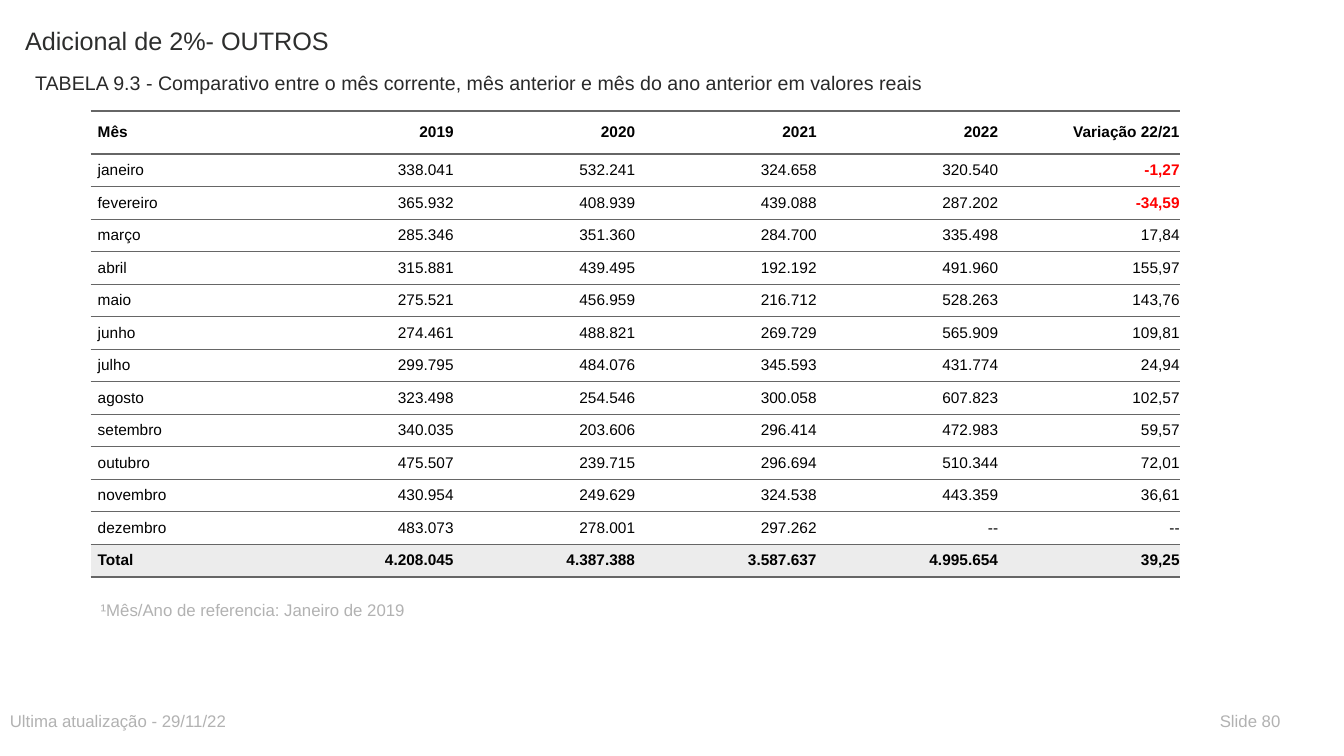
"""Build the slide comparing monthly values from 2019 to 2022."""
from lxml import etree
from pptx import Presentation
from pptx import util as u
from pptx.dml.color import RGBColor
from pptx.enum import text
from pptx.oxml import ns

THEME = {
    "font": "Arial", "title": "2D2E2D", "subtitle": "292929", "muted": "B2B2B2",
    "body": "000000", "negative": "FF0000", "rule": "666666",
    "plain": "FFFFFF", "total": "ECECEC",
    "title_size": 18, "subtitle_size": 14, "note_size": 12, "cell_size": 11,
    "thick": 2, "thin": 0.5, "cell_padding": 5,
}


def grid(units):
    """Turn grid units of a twentieth of an inch into a length."""
    return u.Inches(units * 0.05)


def write(paragraph, words, size, color, bold=False):
    """Add one run in the theme font."""
    run = paragraph.add_run()
    run.text = words
    run.font.name = THEME["font"]
    run.font.size = u.Pt(size)
    run.font.bold = bold
    run.font.color.rgb = RGBColor.from_string(color)


deck = Presentation()
deck.slide_width, deck.slide_height = u.Inches(13.33), u.Inches(7.5)
slide = deck.slides.add_slide(deck.slide_layouts[6])

captions = [
    ("Adicional de 2%- OUTROS", "title", 3, 4, 160, 11.8),
    ("TABELA 9.3 - Comparativo entre o mês corrente, mês anterior e mês do ano anterior em valores reais",
     "subtitle", 5, 13, 200, 6),
    ("¹Mês/Ano de referencia: Janeiro de 2019", "note", 18, 118, 130, 6),
    ("Ultima atualização - 29/11/22", "note", 0, 140, 130, 6),
    ("Slide 80", "note", 240, 140, 18, 6),
]
for words, role, *place in captions:
    caption = slide.shapes.add_textbox(*map(grid, place)).text_frame
    caption.word_wrap = True
    write(caption.paragraphs[0], words, THEME[role + "_size"], THEME.get(role, THEME["muted"]))

months = [
    ("Mês", "2019", "2020", "2021", "2022", "Variação 22/21"),
    ("janeiro", "338.041", "532.241", "324.658", "320.540", "-1,27"),
    ("fevereiro", "365.932", "408.939", "439.088", "287.202", "-34,59"),
    ("março", "285.346", "351.360", "284.700", "335.498", "17,84"),
    ("abril", "315.881", "439.495", "192.192", "491.960", "155,97"),
    ("maio", "275.521", "456.959", "216.712", "528.263", "143,76"),
    ("junho", "274.461", "488.821", "269.729", "565.909", "109,81"),
    ("julho", "299.795", "484.076", "345.593", "431.774", "24,94"),
    ("agosto", "323.498", "254.546", "300.058", "607.823", "102,57"),
    ("setembro", "340.035", "203.606", "296.414", "472.983", "59,57"),
    ("outubro", "475.507", "239.715", "296.694", "510.344", "72,01"),
    ("novembro", "430.954", "249.629", "324.538", "443.359", "36,61"),
    ("dezembro", "483.073", "278.001", "297.262", "--", "--"),
    ("Total", "4.208.045", "4.387.388", "3.587.637", "4.995.654", "39,25"),
]
last = len(months) - 1
comparison = slide.shapes.add_table(
    len(months), len(months[0]), grid(18), grid(22), grid(36 * 6), grid(8.6 + 5 * last)).table
comparison.first_row = comparison.horz_banding = False
style = comparison._tbl.tblPr.find(ns.qn("a:tableStyleId"))
style.text = "{2D5ABB26-0587-4C30-8999-92F81FD0307C}"

for r, month in enumerate(months):
    comparison.rows[r].height = grid(5 if r else 8.6)
    rules = {"a:lnT": "thick" if r < 2 else "thin",
             "a:lnB": "thick" if r in (0, last) else "thin"}
    for c, value in enumerate(month):
        cell = comparison.cell(r, c)
        cell.vertical_anchor = text.MSO_ANCHOR.MIDDLE
        cell.margin_left = cell.margin_right = 0
        cell.margin_top = cell.margin_bottom = u.Pt(THEME["cell_padding"])
        edges = cell._tc.get_or_add_tcPr()
        for side, weight in rules.items():
            edge = etree.SubElement(edges, ns.qn(side), w=str(u.Pt(THEME[weight])))
            ink = etree.SubElement(edge, ns.qn("a:solidFill"))
            etree.SubElement(ink, ns.qn("a:srgbClr"), val=THEME["rule"])
        cell.fill.solid()
        cell.fill.fore_color.rgb = RGBColor.from_string(THEME["total" if r == last else "plain"])
        line = cell.text_frame.paragraphs[0]
        line.alignment = text.PP_ALIGN.RIGHT if c else text.PP_ALIGN.LEFT
        line._p.get_or_add_pPr().set("marL", str(u.Pt(THEME["cell_padding"])))
        negative = value.startswith("-") and value != "--"
        write(line, value, THEME["cell_size"], THEME["negative" if negative else "body"],
              negative or r in (0, last))

deck.save("out.pptx")
